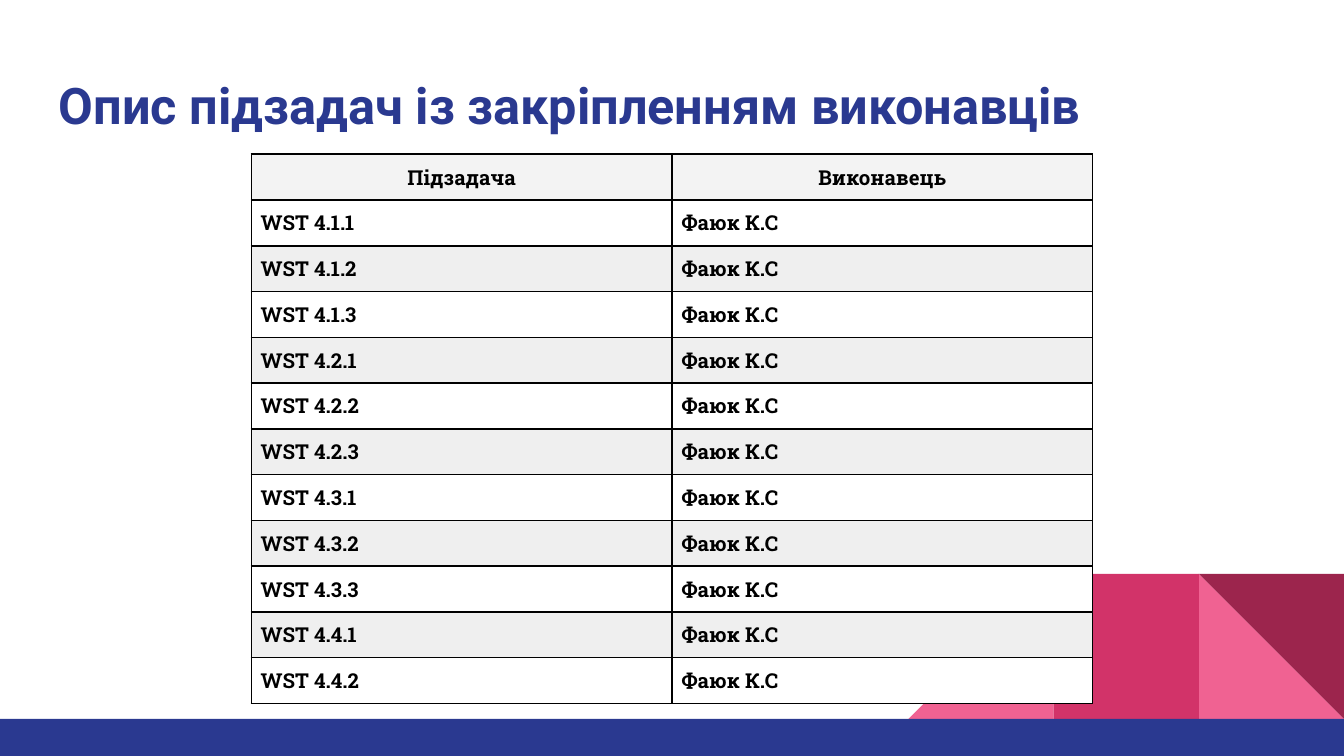
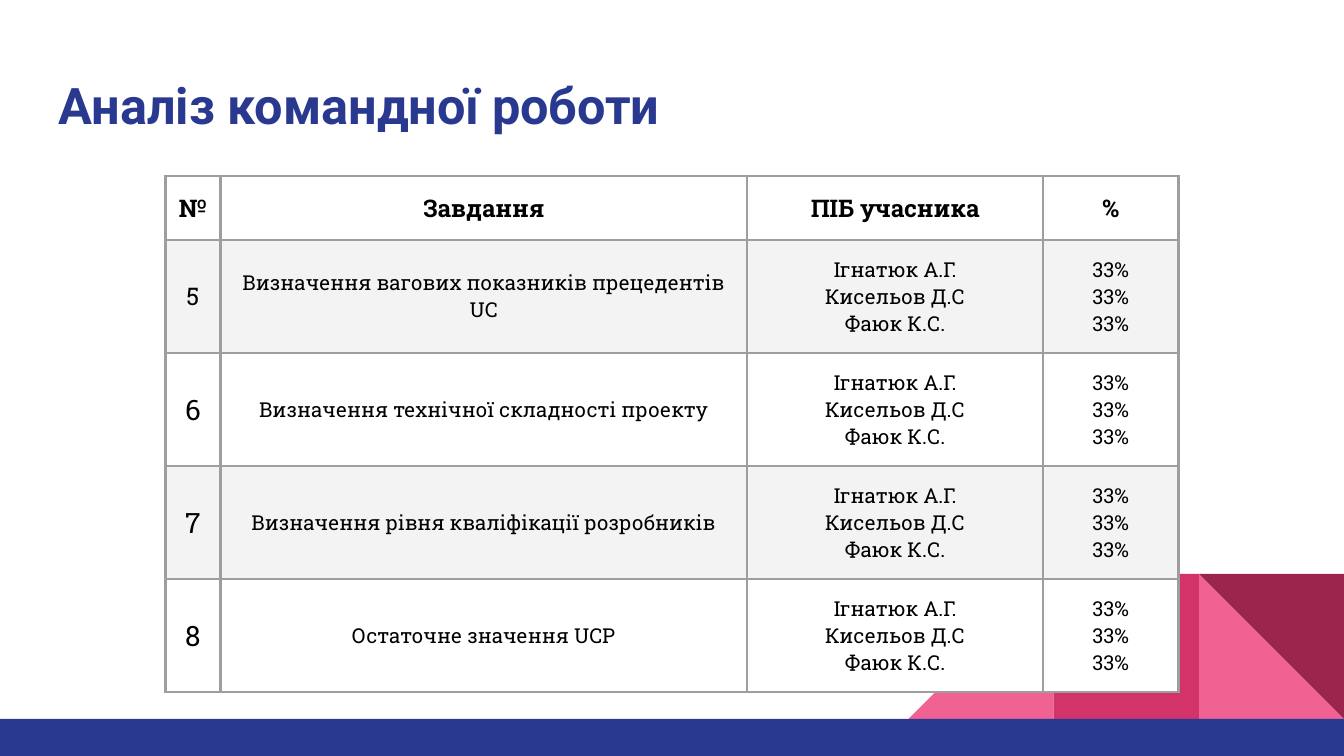
import pptx
import pptx.dml.color
import pptx.enum.shapes
import pptx.enum.text
import pptx.oxml.ns
import pptx.util
from lxml import etree

COLORS = {
    "navy": "2A3990",
    "pink": "F06292",
    "rose": "D23369",
    "wine": "9C254D",
    "black": "000000",
    "gray": "9E9E9E",
    "light": "F3F3F3",
    "stripe": "EFEFEF",
    "white": "FFFFFF",
}
WIDTH = pptx.util.Inches(10)
HEIGHT = WIDTH * 9 // 16
COLUMN, ROW = WIDTH / 100, HEIGHT / 100
BAND_TOP = 95.1
BLOCK = 10.8
ALIGN = pptx.enum.text.PP_ALIGN
ANCHOR = pptx.enum.text.MSO_ANCHOR
SHAPE = pptx.enum.shapes.MSO_SHAPE


def rgb(name):
    """Return a palette colour."""
    return pptx.dml.color.RGBColor.from_string(COLORS[name])


def grid_box(left, top, width, height):
    """Convert grid columns and rows to slide lengths."""
    return [int(left * COLUMN), int(top * ROW), int(width * COLUMN), int(height * ROW)]


def style_text(frame, font, size, color, bold, align=ALIGN.LEFT):
    """Give every paragraph of a frame the same look."""
    for paragraph in frame.paragraphs:
        paragraph.alignment = align
        paragraph.font.name = font
        paragraph.font.size = pptx.util.Pt(size)
        paragraph.font.bold = bold
        paragraph.font.color.rgb = rgb(color)


def set_insets(target, across, down):
    """Set equal side margins and equal top and bottom margins in inches."""
    target.margin_left = target.margin_right = pptx.util.Inches(across)
    target.margin_top = target.margin_bottom = pptx.util.Inches(down)


def add_block(slide, kind, box, color):
    """Draw one flat shape without outline or shadow."""
    block = slide.shapes.add_shape(kind, *box)
    block.shadow.inherit = False
    block.fill.solid()
    block.fill.fore_color.rgb = rgb(color)
    block.line.fill.background()
    return block


def add_footer(slide):
    """Draw the corner mosaic standing on the bottom band."""
    block_rows = BLOCK * COLUMN / ROW

    def mosaic_box(place):
        """Locate a mosaic square counted from the right edge."""
        return grid_box(100 - place * BLOCK, BAND_TOP - block_rows, BLOCK, block_rows)

    add_block(slide, SHAPE.RIGHT_TRIANGLE, mosaic_box(1), "pink")
    slope = add_block(slide, SHAPE.RIGHT_TRIANGLE, mosaic_box(3), "pink")
    slope.element.spPr.xfrm.set("flipH", "1")
    add_block(slide, SHAPE.RECTANGLE, mosaic_box(2), "rose")
    corner = add_block(slide, SHAPE.RIGHT_TRIANGLE, mosaic_box(1), "wine")
    corner.rotation = 180
    add_block(slide, SHAPE.RECTANGLE, grid_box(0, BAND_TOP, 100, 100 - BAND_TOP), "navy")


def add_title(slide, text):
    """Write the slide title."""
    title = slide.shapes.add_textbox(*grid_box(3.4, 8, 93.2, 11.7)).text_frame
    title.word_wrap = True
    set_insets(title, 0.1, 0.1)
    title.text = text
    style_text(title, "Roboto", 27, "navy", True)


def add_borders(cell, color, width):
    """Outline a table cell on all four sides."""
    properties = cell._tc.get_or_add_tcPr()
    qn = pptx.oxml.ns.qn
    for side in ("a:lnL", "a:lnR", "a:lnT", "a:lnB"):
        line = etree.SubElement(properties, qn(side), w=str(pptx.util.Pt(width)))
        paint = etree.SubElement(line, qn("a:solidFill"))
        etree.SubElement(paint, qn("a:srgbClr"), val=COLORS[color])


def add_grid_table(slide, top, widths, heights, records, border, insets, look):
    """Place a centred table; look gives fill, size, bold, align and anchor of a cell."""
    box = grid_box((100 - sum(widths)) / 2, top, sum(widths), sum(heights))
    table = slide.shapes.add_table(len(records), len(widths), *box).table
    table.first_row = table.horz_banding = False
    for column, width in zip(table.columns, widths):
        column.width = int(width * COLUMN)
    for row, height in zip(table.rows, heights):
        row.height = int(height * ROW)
    for r, record in enumerate(records):
        for c, text in enumerate(record):
            cell = table.cell(r, c)
            fill, size, bold, align, anchor = look(r, c)
            add_borders(cell, *border)
            cell.fill.solid()
            cell.fill.fore_color.rgb = rgb(fill)
            set_insets(cell, *insets)
            cell.vertical_anchor = anchor
            cell.text = text
            style_text(cell.text_frame, "Roboto Slab", size, "black", bold, align)


def start_slide(deck, title):
    """Add a blank slide with the shared footer and title."""
    slide = deck.slides.add_slide(deck.slide_layouts[6])
    add_footer(slide)
    add_title(slide, title)
    return slide


def subtask_slide(deck):
    """List the subtasks with their performers."""
    slide = start_slide(deck, "Опис підзадач із закріпленням виконавців")
    subtasks = [f"WST 4.{group}.{item}"
                for group, count in enumerate((3, 3, 3, 2), 1)
                for item in range(1, count + 1)]
    records = [("Підзадача", "Виконавець")] + [(name, "Фаюк К.С") for name in subtasks]

    def look(row, column):
        """Centre the header and stripe the even rows."""
        if row == 0:
            return "light", 11, True, ALIGN.CENTER, ANCHOR.TOP
        return "white" if row % 2 else "stripe", 11, True, ALIGN.LEFT, ANCHOR.TOP

    add_grid_table(slide, 20.4, [31.3] * 2, [6.06] * len(records), records,
                   ("black", 1), (0.07, 0.07), look)


def teamwork_slide(deck):
    """Show each member's share of every task."""
    slide = start_slide(deck, "Аналіз командної роботи")
    tasks = [
        "Визначення вагових показників прецедентів UC",
        "Визначення технічної складності проекту",
        "Визначення рівня кваліфікації розробників",
        "Остаточне значення UCP",
    ]
    members = ["Ігнатюк А.Г.", "Кисельов Д.С", "Фаюк К.С."]
    shares = ["33%"] * len(members)
    records = [("№", "Завдання", "ПІБ учасника", "%")]
    records += [(str(number), task, "\n".join(members), "\n".join(shares))
                for number, task in enumerate(tasks, 5)]

    def look(row, column):
        """Stripe the odd rows and enlarge the task numbers."""
        number_size = 13 if row == 1 else 15
        size = 13 if row == 0 else number_size if column == 0 else 11
        fill = "light" if row % 2 else "white"
        return fill, size, row == 0, ALIGN.CENTER, ANCHOR.MIDDLE

    add_grid_table(slide, 23.3, [4.1, 39.2, 22, 10.1], [8.45] + [14.95] * len(tasks),
                   records, ("gray", 1.5), (0.06, 0.12), look)


def main():
    """Build and save the deck."""
    deck = pptx.Presentation()
    deck.slide_width, deck.slide_height = WIDTH, HEIGHT
    subtask_slide(deck)
    teamwork_slide(deck)
    deck.save("out.pptx")


if __name__ == "__main__":
    main()
